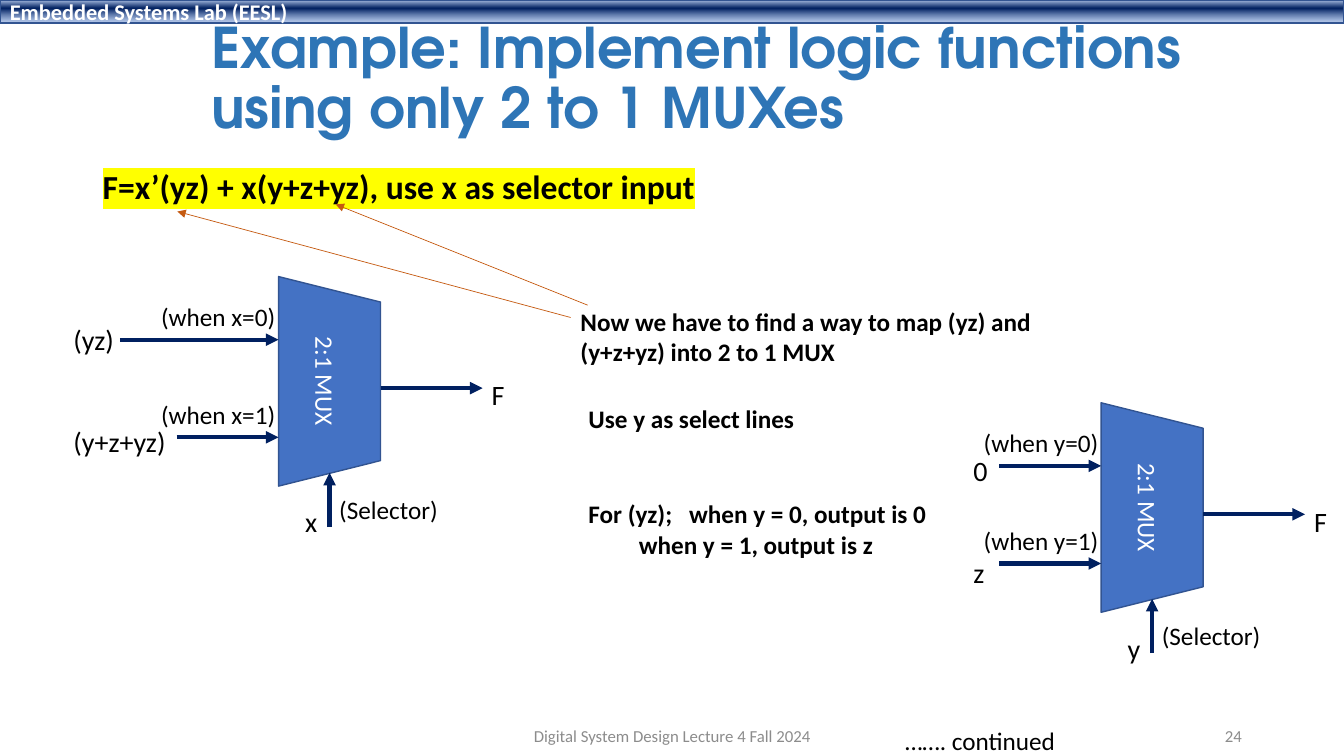
from dataclasses import dataclass

from lxml.etree import SubElement
from pptx import Presentation
from pptx.dml.color import RGBColor
from pptx.enum.shapes import MSO_CONNECTOR as Link, MSO_SHAPE as Preset
from pptx.enum.text import MSO_ANCHOR as Anchor, PP_ALIGN as Align
from pptx.oxml import parse_xml
from pptx.oxml.ns import nsdecls, qn
from pptx.util import Cm, Pt


@dataclass(frozen=True)
class Theme:
    body: str = "Calibri"
    display: str = "TeX Gyre Adventor"
    ink: str = "000000"
    white: str = "FFFFFF"
    navy: str = "002060"
    blue: str = "4472C4"
    edge: str = "325491"
    heading: str = "2E75B6"
    muted: str = "8C8C8C"
    pointer: str = "C55A11"
    marker: str = "FFFF00"
    bar_light: str = "ABC0E4"
    bar_soft: str = "7E9ED6"
    title: int = 40
    formula: int = 24
    signal: int = 20
    note: int = 18
    header: int = 16
    footer: int = 12


THEME = Theme()


def rgb(value):
    return RGBColor.from_string(value)


def fill_text(frame, lines, size, color=THEME.ink, bold=False, font=THEME.body,
              align=Align.LEFT, gap=0, leading=None, highlight=None):
    for index, line in enumerate(lines):
        para = frame.add_paragraph() if index else frame.paragraphs[0]
        para.alignment = align
        if index and gap:
            para.space_before = Pt(gap)
        if leading:
            para.line_spacing = leading
        span = para.add_run()
        span.text = line
        span.font.size = Pt(size)
        span.font.bold = bold
        span.font.color.rgb = rgb(color)
        if highlight:
            mark = SubElement(span.font._element, qn("a:highlight"))
            SubElement(mark, qn("a:srgbClr"), val=highlight)
        span.font.name = font


def add_label(page, box, lines, size, anchor=Anchor.TOP, wrap=False, **style):
    frame = page.shapes.add_textbox(*map(Cm, box)).text_frame
    frame.word_wrap = wrap
    frame.vertical_anchor = anchor
    fill_text(frame, lines, size, **style)


def add_arrow(page, start, end, color=THEME.navy, width=3):
    arrow = page.shapes.add_connector(Link.STRAIGHT, *map(Cm, (*start, *end)))
    arrow.line.color.rgb = rgb(color)
    arrow.line.width = Pt(width)
    SubElement(arrow.line._get_or_add_ln(), qn("a:tailEnd"), type="triangle")
    SubElement(arrow._element.spPr, qn("a:effectLst"))


def add_block(page, preset, box):
    block = page.shapes.add_shape(preset, *map(Cm, box))
    block.shadow.inherit = False
    block.fill.solid()
    block.fill.fore_color.rgb = rgb(THEME.blue)
    block.line.color.rgb = rgb(THEME.edge)
    block.line.width = Pt(1)
    block.text_frame.vertical_anchor = Anchor.MIDDLE
    return block


def add_header(page, box):
    bar = add_block(page, Preset.RECTANGLE, box)
    stops = ((2, THEME.bar_light, 100), (38, THEME.navy, 100), (93, THEME.bar_soft, 64))
    marks = "".join(
        f'<a:gs pos="{pos * 1000}"><a:srgbClr val="{color}">'
        f'<a:alpha val="{alpha * 1000}"/></a:srgbClr></a:gs>'
        for pos, color, alpha in stops)
    gradient = parse_xml(f'<a:gradFill {nsdecls("a")}><a:gsLst>{marks}</a:gsLst>'
                         '<a:lin ang="5400000" scaled="0"/></a:gradFill>')
    solid = bar._element.spPr.find(qn("a:solidFill"))
    solid.getparent().replace(solid, gradient)
    fill_text(bar.text_frame, ["Embedded Systems Lab (EESL)"], THEME.header,
              color=THEME.white, bold=True)


def add_title(page, box):
    add_label(page, box, ["Example: Implement logic functions using only 2 to 1 MUXes"],
              THEME.title, anchor=Anchor.MIDDLE, wrap=True, color=THEME.heading,
              bold=True, font=THEME.display, leading=0.9)


def add_mux(page, box, inputs, starts, inputs_at, selector):
    left, top, width, height = box
    body = add_block(page, Preset.TRAPEZOID,
                     (left + (width - height) / 2, top + (height - width) / 2, height, width))
    body.rotation = 90
    fill_text(body.text_frame, ["2:1 MUX"], THEME.note, color=THEME.white, align=Align.CENTER)

    for index, start in enumerate(starts):
        level = top + 1.59 + index * 2.46
        add_arrow(page, (left - start, level), (left, level))
        add_label(page, (left - 3.21, level - 1.09, 3.43, 1.03),
                  [f"(when {selector}={index})"], THEME.note)
    add_arrow(page, (left + width, top + 2.81), (left + 2 * width, top + 2.81))
    middle = left + width / 2
    add_arrow(page, (middle, top + 6.31), (middle, top + 4.94))

    offset, drop, breadth = inputs_at
    add_label(page, (left + offset, top + drop, breadth, 3.68), inputs, THEME.signal, gap=48.8)
    add_label(page, (left + 0.42, top + 5.63, 0.83, 1.11), [selector], THEME.signal)
    add_label(page, (left + 5.12, top + 2.43, 0.84, 1.11), ["F"], THEME.signal)
    add_label(page, (left + 1.28, top + 5.35, 3.02, 1.03), ["(Selector)"], THEME.note)


def add_formula(page, box):
    add_label(page, box, ["F=x’(yz) + x(y+z+yz), use x as selector input"],
              THEME.formula, bold=True, highlight=THEME.marker)


def add_notes(page, box):
    left, top, width, height = box
    notes = (
        (0, 0, ["Now we have to find a way to map (yz) and", "(y+z+yz) into 2 to 1 MUX"]),
        (0.2, 2.46, ["Use y as select lines"]),
        (0.2, 4.85, ["For (yz);\twhen y = 0, output is 0", "\twhen y = 1, output is z"]),
    )
    for indent, drop, lines in notes:
        add_label(page, (left + indent, top + drop, width - indent, height),
                  lines, THEME.note, bold=True)
    for start, end in (((0, 0.41), (-9.91, -2.26)), ((0.43, 0.1), (-5.92, -2.44))):
        add_arrow(page, (left + start[0], top + start[1]), (left + end[0], top + end[1]),
                  color=THEME.pointer, width=0.5)


def add_footer(page, box):
    left, top, width, height = box
    style = {"anchor": Anchor.MIDDLE, "wrap": True, "color": THEME.muted}
    add_label(page, (left, top, 11.43, height), ["Digital System Design Lecture 4 Fall 2024"],
              THEME.footer, align=Align.CENTER, **style)
    add_label(page, (left + width - 7.62, top, 7.62, height), ["24"],
              THEME.footer, align=Align.RIGHT, **style)
    add_label(page, (left + 11.33, top + 0.13, 4.34, height), ["……. continued"], THEME.note)


def main():
    deck = Presentation()
    deck.slide_width, deck.slide_height = Cm(33.87), Cm(19.05)
    page = deck.slides.add_slide(deck.slide_layouts[6])
    add_header(page, (0, 0, 33.87, 0.58))
    add_title(page, (5.08, 0.18, 26.72, 3.68))
    add_formula(page, (2.34, 4.06, 15.6, 1.27))
    add_mux(page, (7.02, 6.97, 2.57, 5.28), ["(yz)", "(y+z+yz)"],
            (4, 2.57), (-5.42, 1.03, 2.87), "x")
    add_notes(page, (14.38, 7.59, 11.99, 1.8))
    add_mux(page, (27.75, 10.15, 2.57, 5.28), ["0", "z"],
            (2.57, 2.57), (-3.47, 1.16, 0.86), "y")
    add_footer(page, (11.23, 18.02, 20.32, 1.02))
    deck.save("out.pptx")


if __name__ == "__main__":
    main()
